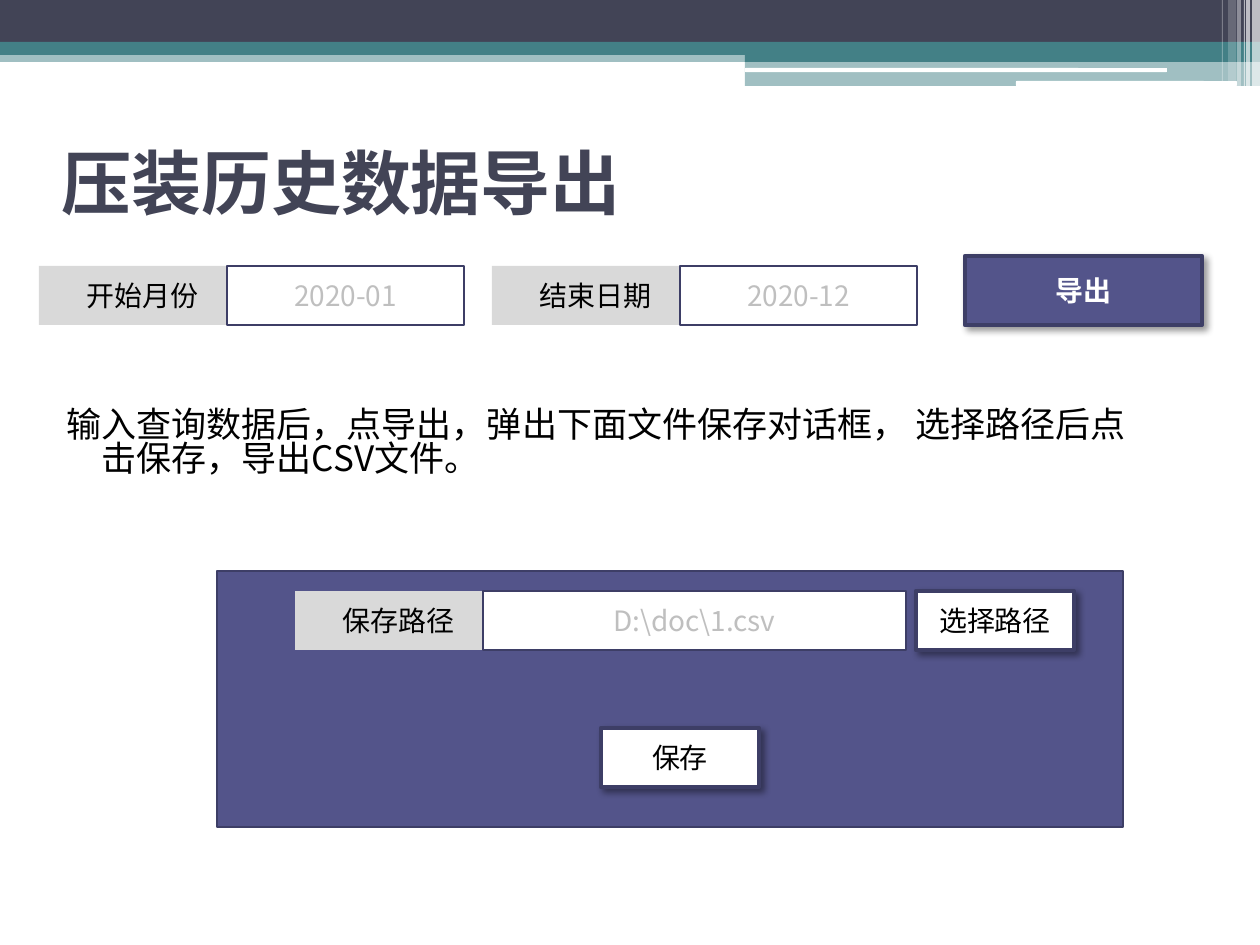
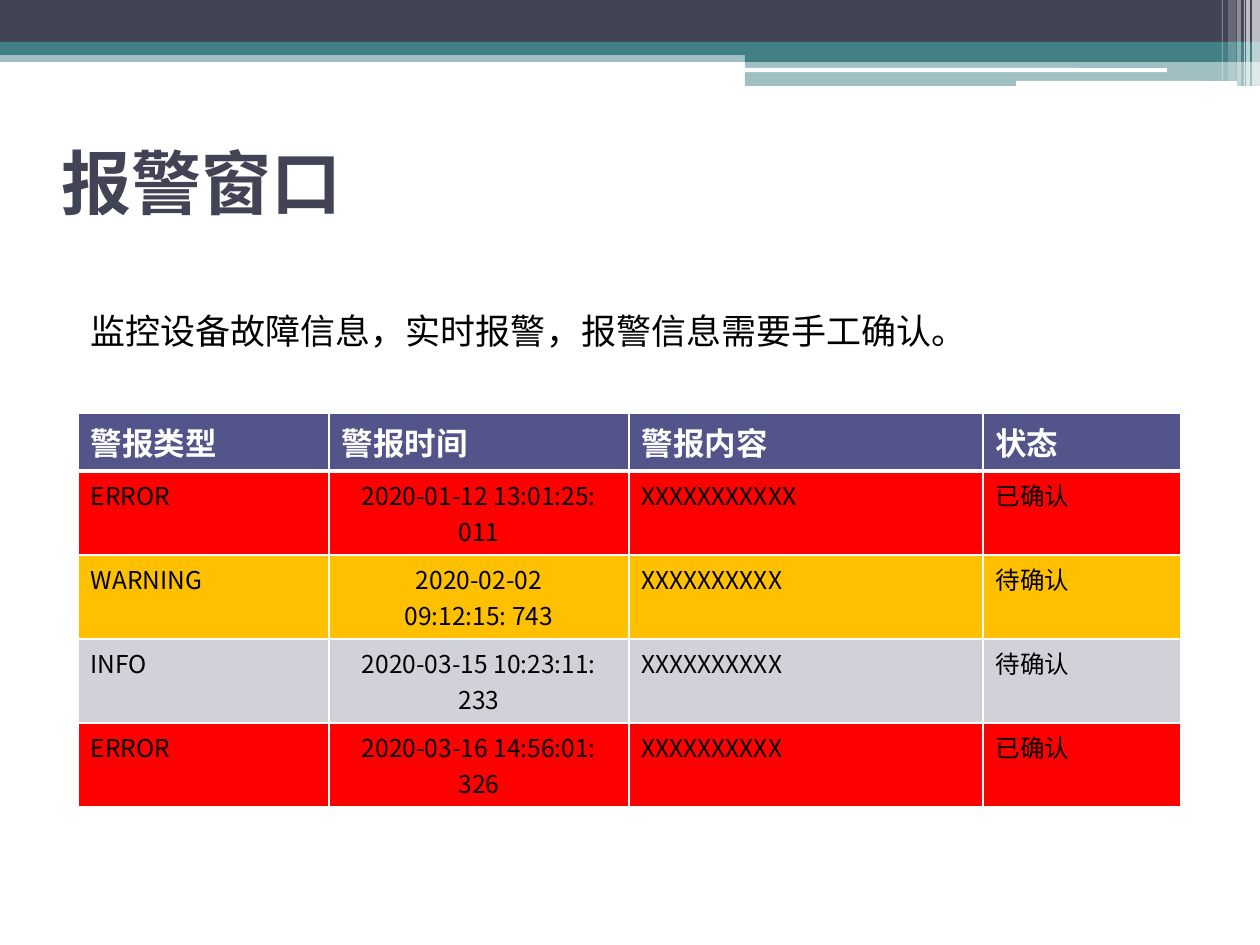
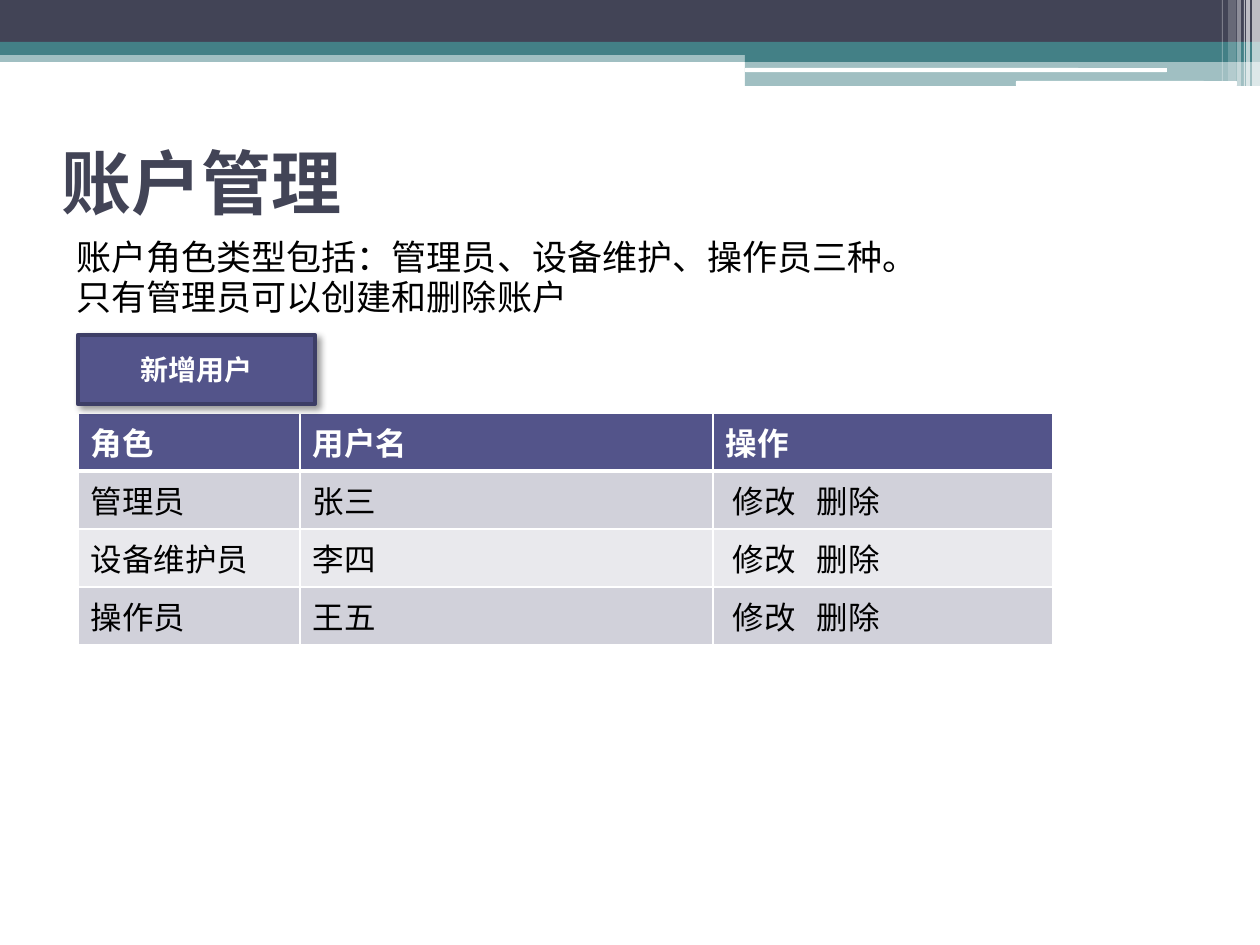
import dataclasses
import typing

import lxml.etree
import pptx
import pptx.dml.color
import pptx.enum.shapes
import pptx.enum.text
import pptx.oxml.ns
import pptx.util

EMU_PER_PX = 914400 / 126
RECTANGLE = pptx.enum.shapes.MSO_SHAPE.RECTANGLE
ROUNDED = pptx.enum.shapes.MSO_SHAPE.ROUNDED_RECTANGLE
LEFT = pptx.enum.text.PP_ALIGN.LEFT
CENTER = pptx.enum.text.PP_ALIGN.CENTER
TOP = pptx.enum.text.MSO_ANCHOR.TOP
MIDDLE = pptx.enum.text.MSO_ANCHOR.MIDDLE


@dataclasses.dataclass(frozen=True)
class Theme:
    font: str = "Noto Sans CJK SC"
    dark: str = "424456"
    teal: str = "438086"
    accent: str = "53548A"
    outline: str = "3D3E66"
    white: str = "FFFFFF"
    black: str = "000000"
    label: str = "D9D9D9"
    hint: str = "BFBFBF"
    row: str = "D1D1DA"
    row_light: str = "E9E9ED"
    error: str = "FF0000"
    warning: str = "FFC000"
    title_size: int = 40
    body_size: int = 20
    table_size: int = 18
    control_size: int = 16
    small_size: int = 14


THEME = Theme()


class Box(typing.NamedTuple):
    left: int
    top: int
    width: int
    height: int

    def inner(self, left, top, width, height):
        """Return a box whose place is counted from this box's corner."""
        return Box(self.left + left, self.top + top, width, height)

    def emu(self):
        return [px(length) for length in self]


TITLE_BOX = Box(49, 108, 1134, 148)
CONTROL_HEIGHT = 59
SMALL_BUTTON_WIDTH = 158
LARGE_BUTTON = (237, 69)
LABEL_WIDTH = 207
INPUT_OFFSET = 188
INPUT_WIDTH = 237


def px(length):
    return pptx.util.Emu(round(length * EMU_PER_PX))


def rgb(value):
    return pptx.dml.color.RGBColor.from_string(value)


def assign(target, **values):
    for name, value in values.items():
        setattr(target, name, value)


def add_xml(parent, tag, **attributes):
    values = {name: str(value) for name, value in attributes.items()}
    return lxml.etree.SubElement(parent, pptx.oxml.ns.qn(tag), values)


def write_text(frame, text, size, color, bold=False, align=LEFT, **paragraph_values):
    """Fill a text frame, one paragraph for each line of text."""
    frame.text = text
    for paragraph in frame.paragraphs:
        assign(paragraph, alignment=align, **paragraph_values)
        for run in paragraph.runs:
            assign(run.font, name=THEME.font, size=pptx.util.Pt(size), bold=bold)
            run.font.color.rgb = rgb(color)
            add_xml(run._r.get_or_add_rPr(), "a:ea", typeface=THEME.font)


def add_block(slide, box, fill, line=None, line_width=1.5, opacity=100, kind=RECTANGLE):
    shape = slide.shapes.add_shape(kind, *box.emu())
    shape.shadow.inherit = False
    shape.fill.solid()
    shape.fill.fore_color.rgb = rgb(fill)
    if opacity < 100:
        color = shape._element.spPr.find(".//" + pptx.oxml.ns.qn("a:srgbClr"))
        add_xml(color, "a:alpha", val=opacity * 1000)
    if line:
        shape.line.color.rgb = rgb(line)
        shape.line.width = pptx.util.Pt(line_width)
    else:
        shape.line.fill.background()
    return shape


def add_control(slide, box, text, fill, color, bold=False, **block_values):
    shape = add_block(slide, box, fill, **block_values)
    assign(shape.text_frame, word_wrap=True, vertical_anchor=MIDDLE)
    write_text(shape.text_frame, text, THEME.control_size, color, bold, CENTER)
    return shape


def add_button(slide, box, text, fill=THEME.accent, color=THEME.white, bold=True):
    shape = add_control(slide, box, text, fill, color, bold,
                        line=THEME.outline, line_width=2.5)
    effects = shape._element.spPr.find(pptx.oxml.ns.qn("a:effectLst"))
    shadow = add_xml(effects, "a:outerShdw", blurRad=pptx.util.Pt(4),
                     dist=pptx.util.Pt(3), dir=45 * 60000, algn="tl", rotWithShape=0)
    add_xml(add_xml(shadow, "a:srgbClr", val=THEME.black), "a:alpha", val=40000)


def add_small_button(slide, box, text):
    add_button(slide, box, text, THEME.white, THEME.black, False)


def add_field(slide, box, label, hint):
    """Draw a label with an input that fills the rest of the box."""
    add_control(slide, box.inner(0, 0, LABEL_WIDTH, box.height), label,
                THEME.label, THEME.black)
    add_control(slide, box.inner(INPUT_OFFSET, 0, box.width - INPUT_OFFSET, box.height),
                hint, THEME.white, THEME.hint, line=THEME.outline)


def add_text(slide, box, text, size, color, bold=False, anchor=TOP, **paragraph_values):
    shape = slide.shapes.add_textbox(*box.emu())
    assign(shape.text_frame, word_wrap=True, vertical_anchor=anchor)
    write_text(shape.text_frame, text, size, color, bold, **paragraph_values)
    return shape


def add_title(slide, text):
    add_text(slide, TITLE_BOX, text, THEME.title_size, THEME.dark, True, MIDDLE)


def add_body(slide, box, text):
    shape = add_text(slide, box, text, THEME.body_size, THEME.black,
                     space_before=pptx.util.Pt(3), line_spacing=0.83)
    for paragraph in shape.text_frame.paragraphs:
        properties = paragraph._p.get_or_add_pPr()
        properties.set("marL", str(px(50)))
        properties.set("indent", str(px(-35)))


def style_cell(cell, fill, top=1, bottom=1):
    """Give a cell white borders, with widths in points, and a fill."""
    properties = cell._tc.get_or_add_tcPr()
    for side, width in {"L": 1, "R": 1, "T": top, "B": bottom}.items():
        border = add_xml(properties, "a:ln" + side, w=pptx.util.Pt(width))
        add_xml(add_xml(border, "a:solidFill"), "a:srgbClr", val=THEME.white)
    cell.fill.solid()
    cell.fill.fore_color.rgb = rgb(fill)


def add_grid(slide, left, top, widths, heights, rows, fills, size, centered=()):
    """Draw a table whose first row is the header."""
    box = Box(left, top, sum(widths), sum(heights))
    table = slide.shapes.add_table(len(rows), len(widths), *box.emu()).table
    table.horz_banding = False
    for column, width in zip(table.columns, widths):
        column.width = px(width)
    for row, height in zip(table.rows, heights):
        row.height = px(height)
    for row_index, (values, fill) in enumerate(zip(rows, [THEME.accent, *fills])):
        header = row_index == 0
        for column_index, value in enumerate(values):
            cell = table.cell(row_index, column_index)
            style_cell(cell, fill, top=3 if row_index == 1 else 1,
                       bottom=3 if header else 1)
            write_text(cell.text_frame, value,
                       THEME.table_size if header else size,
                       THEME.white if header else THEME.black, header,
                       CENTER if column_index in centered and not header else LEFT)
    return table


def space_actions(cell):
    """Indent a cell's actions and set the second one at a tab stop."""
    cell.margin_left = px(20)
    properties = cell.text_frame.paragraphs[0]._p.get_or_add_pPr()
    add_xml(add_xml(properties, "a:tabLst"), "a:tab", pos=px(84), algn="l")


def add_bands(slide):
    for box, color, opacity in (
        (Box(0, 50, 1260, 12), THEME.teal, 50),
        (Box(0, 0, 1260, 42), THEME.dark, 100),
        (Box(0, 42, 1260, 13), THEME.teal, 100),
        (Box(745, 49, 515, 13), THEME.teal, 100),
        (Box(745, 61, 515, 25), THEME.teal, 50),
    ):
        add_block(slide, box, color, opacity=opacity)
    for box in (Box(745, 68, 422, 4), Box(1016, 81, 221, 5)):
        add_block(slide, box, THEME.white, kind=ROUNDED)
    for left, width, height, opacity in (
        (1252, 8, 86, 65), (1246, 4, 86, 65), (1244, 1, 86, 60),
        (1237, 4, 86, 40), (1228, 8, 81, 20), (1222, 1, 81, 30),
    ):
        add_block(slide, Box(left, 0, width, height), THEME.white, opacity=opacity)


def move_to_layout(slide):
    """Move the slide's shapes to its layout, so that every slide shows them."""
    for shape in list(slide.shapes):
        slide.slide_layout.shapes._spTree.append(shape._element)


def add_save_dialog(slide, box):
    add_block(slide, box, THEME.accent, line=THEME.outline)
    add_field(slide, box.inner(78, 20, 611, CONTROL_HEIGHT), "保存路径", r"D:\doc\1.csv")
    for left, top, text in ((699, 20, "选择路径"), (384, 157, "保存")):
        add_small_button(slide, box.inner(left, top, SMALL_BUTTON_WIDTH, CONTROL_HEIGHT), text)


def build_export(slide):
    add_title(slide, "压装历史数据导出")
    fields = (("开始月份", "2020-01"), ("结束日期", "2020-12"))
    for index, (label, hint) in enumerate(fields):
        box = Box(39 + 453 * index, 266, INPUT_OFFSET + INPUT_WIDTH, CONTROL_HEIGHT)
        add_field(slide, box, label, hint)
    add_button(slide, Box(965, 256, *LARGE_BUTTON), "导出")
    add_save_dialog(slide, Box(217, 571, 906, 256))
    add_body(slide, Box(39, 403, 1134, 134),
             "输入查询数据后，点导出，弹出下面文件保存对话框， 选择路径后点击保存，导出CSV文件。")


def build_alarms(slide):
    add_title(slide, "报警窗口")
    add_body(slide, Box(63, 310, 1134, 596),
             "监控设备故障信息，实时报警，报警信息需要手工确认。")
    rows = (
        ("警报类型", "警报时间", "警报内容", "状态"),
        ("ERROR", "2020-01-12 13:01:25: 011", "XXXXXXXXXXX", "已确认"),
        ("WARNING", "2020-02-02\n09:12:15: 743", "XXXXXXXXXX", "待确认"),
        ("INFO", "2020-03-15 10:23:11: 233", "XXXXXXXXXX", "待确认"),
        ("ERROR", "2020-03-16 14:56:01: 326", "XXXXXXXXXX", "已确认"),
    )
    level_fills = {"ERROR": THEME.error, "WARNING": THEME.warning, "INFO": THEME.row}
    add_grid(slide, 78, 413, (251, 300, 354, 198), (58, 84, 84, 84, 84), rows,
             [level_fills[row[0]] for row in rows[1:]], THEME.small_size, centered=(1,))


def build_accounts(slide):
    add_title(slide, "账户管理")
    actions = "修改\t删除"
    rows = (
        ("角色", "用户名", "操作"),
        ("管理员", "张三", actions),
        ("设备维护员", "李四", actions),
        ("操作员", "王五", actions),
    )
    table = add_grid(slide, 78, 413, (222, 413, 340), [58] * len(rows), rows,
                     (THEME.row, THEME.row_light, THEME.row), THEME.table_size)
    for row_index in range(1, len(rows)):
        space_actions(table.cell(row_index, 2))
    add_button(slide, Box(78, 335, *LARGE_BUTTON), "新增用户")
    add_body(slide, Box(49, 236, 1134, 596),
             "账户角色类型包括：管理员、设备维护、操作员三种。\n只有管理员可以创建和删除账户")


def main():
    presentation = pptx.Presentation()
    assign(presentation, slide_width=px(1260), slide_height=px(945))
    blank = presentation.slide_layouts[6]
    for index, build in enumerate((build_export, build_alarms, build_accounts)):
        slide = presentation.slides.add_slide(blank)
        if index == 0:
            add_bands(slide)
            move_to_layout(slide)
        build(slide)
    presentation.save("out.pptx")


if __name__ == "__main__":
    main()
